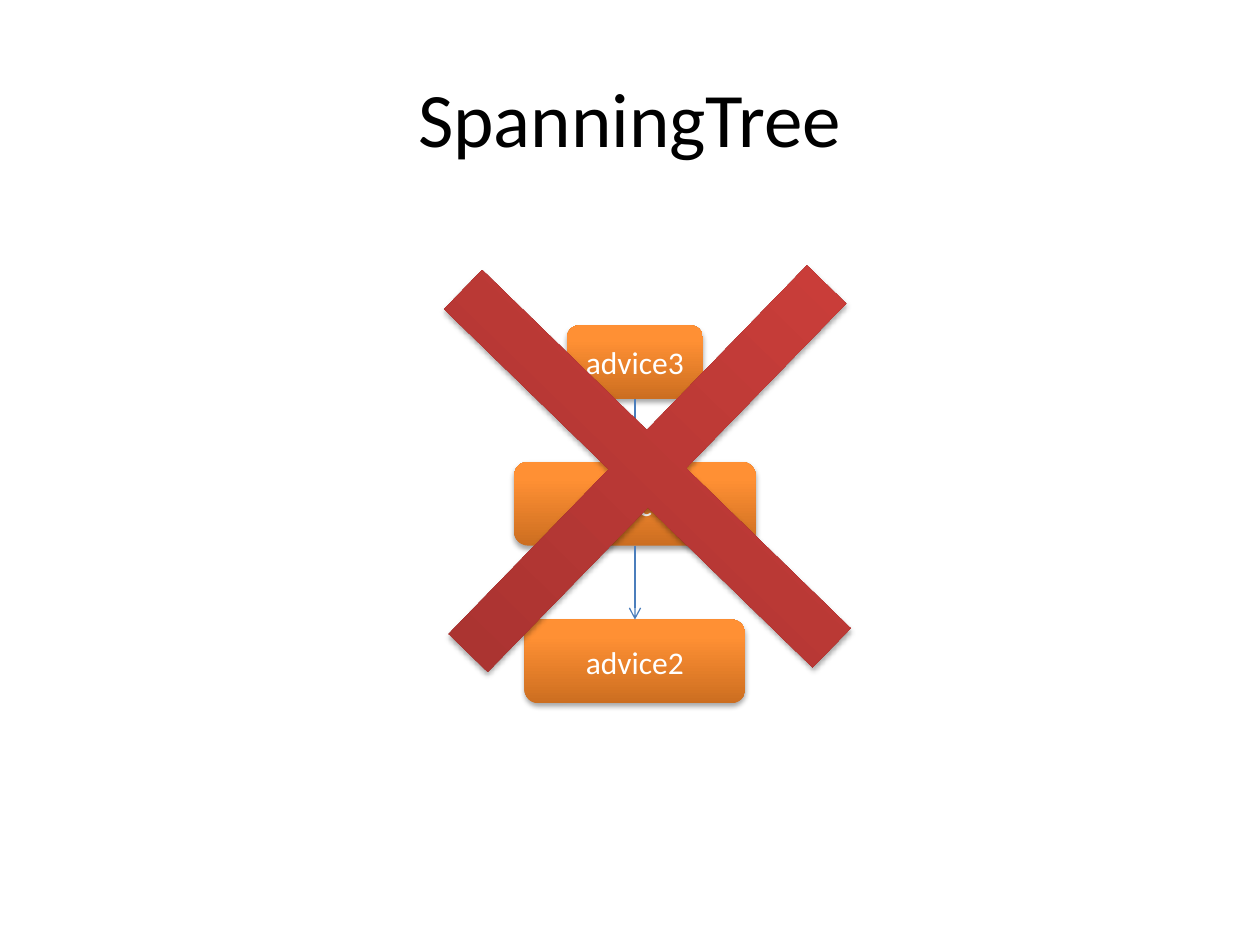
from dataclasses import dataclass

from lxml.etree import SubElement
from pptx import Presentation
from pptx.dml.color import RGBColor
from pptx.enum.shapes import MSO_CONNECTOR as Connector, MSO_SHAPE as Preset
from pptx.enum.text import MSO_ANCHOR as Anchor, PP_ALIGN as Align
from pptx.oxml.ns import qn
from pptx.shapes.autoshape import Shape
from pptx.shapes.connector import Connector as Line
from pptx.slide import Slide
from pptx.text.text import TextFrame
from pptx.util import Cm, Pt

COLORS = {"title": "000000", "label": "FFFFFF", "arrow": "4B7EBC", "shadow": "000000"}
GRADIENTS = {
    "advice": {0: "CC6E20", 80: "FF9034", 100: "FF9136"},
    "cross": {0: "9C2F2D", 80: "CB3E3A", 100: "CE3B37"},
}
CENTER = 12.8


@dataclass
class Advice:
    """A tree node centred on the tree axis, in centimetres."""

    text: str
    top: float
    width: float
    height: float


ADVICES = [
    Advice("advice3", 6.56, 2.74, 1.48),
    Advice("advice5", 9.31, 4.87, 1.69),
    Advice("advice2", 12.49, 4.45, 1.69),
]


def write(frame: TextFrame, text: str, size: float, color: str) -> None:
    """Put one centred line into a text frame."""
    frame.word_wrap = True
    frame.vertical_anchor = Anchor.MIDDLE
    paragraph = frame.paragraphs[0]
    paragraph.text = text
    paragraph.alignment = Align.CENTER
    paragraph.font.name = "Calibri"
    paragraph.font.size = Pt(size)
    paragraph.font.color.rgb = RGBColor.from_string(COLORS[color])


def style(shape: Shape, gradient: str) -> None:
    """Give a shape an upward gradient, no outline and a soft shadow."""
    properties = shape._element.spPr
    fill = SubElement(properties, qn("a:gradFill"), rotWithShape="1")
    stops = SubElement(fill, qn("a:gsLst"))
    for position, color in GRADIENTS[gradient].items():
        stop = SubElement(stops, qn("a:gs"), pos=str(position * 1000))
        SubElement(stop, qn("a:srgbClr"), val=color)
    SubElement(fill, qn("a:lin"), ang=str(270 * 60000), scaled="0")
    shape.line.fill.background()
    shape.shadow.inherit = False
    shadow = SubElement(
        properties.find(qn("a:effectLst")), qn("a:outerShdw"),
        blurRad=str(Pt(3.1)), dist=str(Pt(1.8)), dir=str(90 * 60000), rotWithShape="0",
    )
    color = SubElement(shadow, qn("a:srgbClr"), val=COLORS["shadow"])
    SubElement(color, qn("a:alpha"), val="35000")


def add_advice(slide: Slide, advice: Advice) -> Shape:
    """Draw one tree node."""
    shape = slide.shapes.add_shape(
        Preset.ROUNDED_RECTANGLE, Cm(CENTER - advice.width / 2), Cm(advice.top),
        Cm(advice.width), Cm(advice.height),
    )
    style(shape, "advice")
    write(shape.text_frame, advice.text, 18, "label")
    return shape


def add_arrow(slide: Slide, parent: Shape, child: Shape) -> Line:
    """Join the bottom of a parent to the top of its child."""
    arrow = slide.shapes.add_connector(Connector.STRAIGHT, 0, 0, 0, 0)
    arrow.begin_connect(parent, 2)
    arrow.end_connect(child, 0)
    arrow.line.color.rgb = RGBColor.from_string(COLORS["arrow"])
    arrow.line.width = Pt(0.75)
    SubElement(arrow.line._get_or_add_ln(), qn("a:tailEnd"), type="arrow")
    SubElement(arrow._element.spPr, qn("a:effectLst"))
    return arrow


def add_cross(slide: Slide) -> Shape:
    """Strike the tree out with a turned plus."""
    cross = slide.shapes.add_shape(Preset.CROSS, Cm(7.87), Cm(4.27), Cm(10.36), Cm(10.36))
    cross.adjustments[0] = 0.447
    cross.rotation = 44.2
    style(cross, "cross")
    return cross


def main() -> None:
    """Build the slide and save it."""
    presentation = Presentation()
    presentation.slide_width, presentation.slide_height = Cm(25.4), Cm(19.05)
    slide = presentation.slides.add_slide(presentation.slide_layouts[6])
    title = slide.shapes.add_textbox(Cm(1.27), Cm(0.76), Cm(22.86), Cm(3.18))
    write(title.text_frame, "SpanningTree", 44, "title")
    nodes = [add_advice(slide, advice) for advice in ADVICES]
    for parent, child in zip(nodes, nodes[1:]):
        add_arrow(slide, parent, child)
    add_cross(slide)
    presentation.save("out.pptx")


if __name__ == "__main__":
    main()
